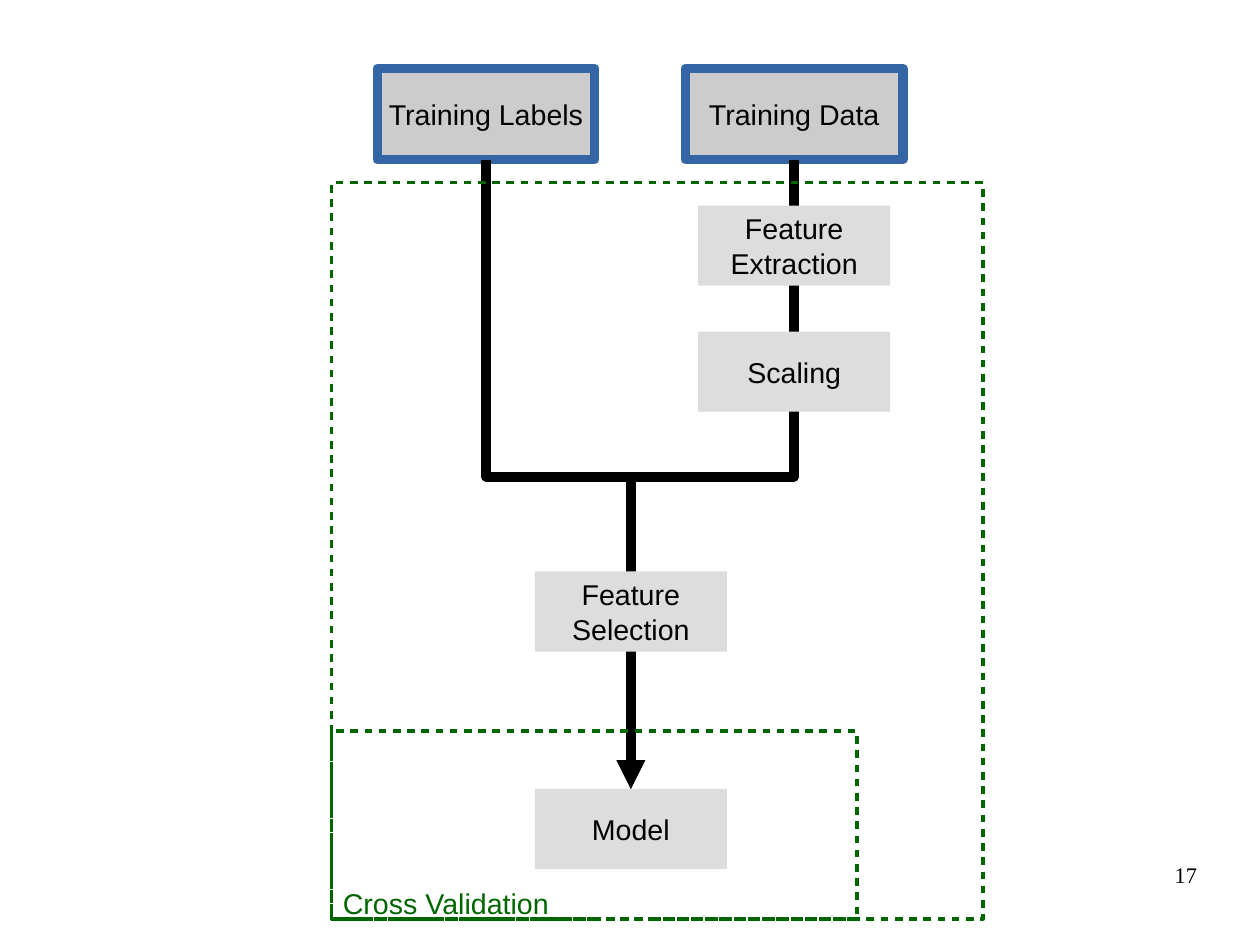
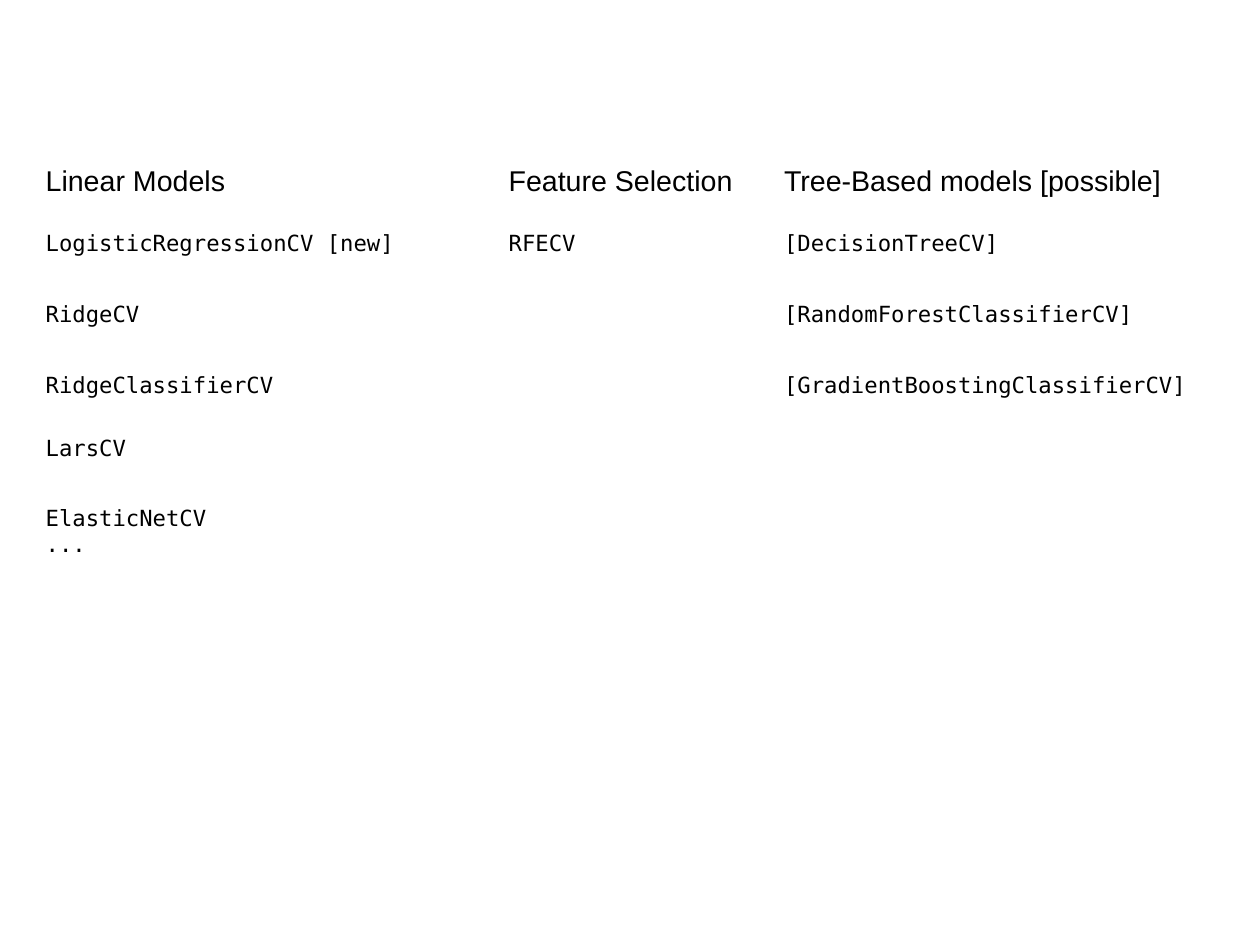
"""Build two slides: a cross-validated training pipeline and a table of CV estimators."""
from lxml.etree import SubElement
from pptx import Presentation
from pptx.dml.color import RGBColor
from pptx.enum.shapes import MSO_CONNECTOR, MSO_SHAPE
from pptx.enum.text import MSO_ANCHOR, PP_ALIGN
from pptx.oxml.ns import qn
from pptx.util import Cm, Pt

BLACK = RGBColor(0x00, 0x00, 0x00)
WHITE = RGBColor(0xFF, 0xFF, 0xFF)
GREEN = RGBColor(0x00, 0x66, 0x00)
BLUE = RGBColor(0x34, 0x65, 0xA4)
SOURCE_GREY = RGBColor(0xCC, 0xCC, 0xCC)
STEP_GREY = RGBColor(0xDD, 0xDD, 0xDD)
SANS, MONO, SERIF = "Arial", "DejaVu Sans Mono", "Times New Roman"

LABELS_X, DATA_X, MODEL_X = 10.8, 17.65, 14.02
SOURCE_TOP, SOURCE_SIZE = 1.52, (4.83, 2.03)
STEP_SIZE = (4.27, 1.78)
MODEL_TOP = 17.53
MERGE_RATIO = 0.504

SOURCES = [(["Training Data"], DATA_X), (["Training Labels"], LABELS_X)]
MODEL = (["Model"], MODEL_X, MODEL_TOP)
STEPS = [
    (["Feature", "Extraction"], DATA_X, 4.57),
    (["Scaling"], DATA_X, 7.37),
    (["Feature", "Selection"], MODEL_X, 12.7),
]
FRAME_LEFT, FRAME_BOTTOM = 7.37, 20.42
INNER_FRAME, OUTER_FRAME = (11.68, 4.17), (14.48, 16.36)

HEADINGS = ["Linear Models", "Feature Selection", "Tree-Based models [possible]"]
ESTIMATORS = [
    ["LogisticRegressionCV [new]", "RidgeCV", "RidgeClassifierCV", "LarsCV", "ElasticNetCV\n..."],
    ["RFECV"],
    ["[DecisionTreeCV]", "[RandomForestClassifierCV]", "[GradientBoostingClassifierCV]"],
]
COLUMN_WIDTHS = [10.29, 6.12, 9.55]
ROW_HEIGHTS = [1.45, 1.57, 1.57, 1.4, 1.57, 1.45]


def write(frame, lines, size=18, font=SANS, color=BLACK, align=PP_ALIGN.LEFT):
    for index, line in enumerate(lines):
        paragraph = frame.paragraphs[0] if index == 0 else frame.add_paragraph()
        paragraph.alignment = align
        run = paragraph.add_run()
        run.text = line
        run.font.size, run.font.name = Pt(size), font
        run.font.color.rgb = color


def style_line(line, color, width, dashed=False, arrow=False):
    line.color.rgb = color
    line.width = Pt(width)
    ln = line._get_or_add_ln()
    if dashed:
        SubElement(SubElement(ln, qn("a:custDash")), qn("a:ds"), d="210000", sp="180000")
    SubElement(ln, qn("a:round"))
    if arrow:
        SubElement(ln, qn("a:tailEnd"), type="triangle")


def add_rectangle(slide, left, top, size, fill=None):
    rectangle = slide.shapes.add_shape(
        MSO_SHAPE.RECTANGLE, Cm(left), Cm(top), *(Cm(side) for side in size))
    rectangle.shadow.inherit = False
    if fill is None:
        rectangle.fill.background()
    else:
        rectangle.fill.solid()
        rectangle.fill.fore_color.rgb = fill
    return rectangle


def add_box(slide, lines, center, top, size, fill, border=None):
    box = add_rectangle(slide, center - size[0] / 2, top, size, fill)
    if border is None:
        box.line.fill.background()
    else:
        style_line(box.line, border, 6)
    box.text_frame.word_wrap = False
    box.text_frame.vertical_anchor = MSO_ANCHOR.MIDDLE
    write(box.text_frame, lines, align=PP_ALIGN.CENTER)


def add_frame(slide, size):
    frame = add_rectangle(slide, FRAME_LEFT, FRAME_BOTTOM - size[1], size)
    style_line(frame.line, GREEN, 2.3, dashed=True)


def add_merge_arrow(slide, start_x, start_y, end_x, end_y):
    """Draw an elbow that runs down, across and down, as a turned sideways elbow."""
    center_x, center_y = (start_x + end_x) / 2, (start_y + end_y) / 2
    half_run, half_rise = (end_y - start_y) / 2, abs(end_x - start_x) / 2
    leftward = end_x < start_x
    reach = half_run if leftward else -half_run
    arrow = slide.shapes.add_connector(
        MSO_CONNECTOR.ELBOW, Cm(center_x - reach), Cm(center_y - half_rise),
        Cm(center_x + reach), Cm(center_y + half_rise))
    properties = arrow._element.spPr
    properties.find(qn("a:xfrm")).set("rot", str((90 if leftward else 270) * 60000))
    adjustments = properties.find(qn("a:prstGeom")).find(qn("a:avLst"))
    SubElement(adjustments, qn("a:gd"), name="adj1", fmla=f"val {round(MERGE_RATIO * 100000)}")
    style_line(arrow.line, BLACK, 6, arrow=True)
    SubElement(properties, qn("a:effectLst"))


def add_label(slide, text, left, top, width, height, margins=True, **style):
    label = slide.shapes.add_textbox(Cm(left), Cm(top), Cm(width), Cm(height)).text_frame
    label.word_wrap = True
    if not margins:
        label.margin_left = label.margin_right = label.margin_top = label.margin_bottom = 0
    write(label, [text], **style)


def build_pipeline(slide):
    for lines, center in SOURCES:
        add_box(slide, lines, center, SOURCE_TOP, SOURCE_SIZE, SOURCE_GREY, BLUE)
    add_box(slide, *MODEL, STEP_SIZE, STEP_GREY)
    for _, center in SOURCES:
        add_merge_arrow(slide, center, SOURCE_TOP + SOURCE_SIZE[1], MODEL_X, MODEL_TOP)
    for step in STEPS:
        add_box(slide, *step, STEP_SIZE, STEP_GREY)
    add_frame(slide, INNER_FRAME)
    add_label(slide, "Cross Validation", FRAME_LEFT, 19.56, 5.59, 0.97, color=GREEN)
    add_frame(slide, OUTER_FRAME)
    add_label(slide, "17", 20.07, 19.13, 6.53, 1.45, margins=False,
              size=14, font=SERIF, align=PP_ALIGN.RIGHT)


def build_estimators(slide):
    table = slide.shapes.add_table(
        len(ROW_HEIGHTS), len(COLUMN_WIDTHS), Cm(0.76), Cm(3.56),
        Cm(sum(COLUMN_WIDTHS)), Cm(sum(ROW_HEIGHTS))).table
    table.first_row = table.horz_banding = False
    for row, height in zip(table.rows, ROW_HEIGHTS):
        row.height = Cm(height)
    for column, width in zip(table.columns, COLUMN_WIDTHS):
        column.width = Cm(width)
    for cell in table.iter_cells():
        cell.fill.solid()
        cell.fill.fore_color.rgb = WHITE
    for column, (heading, names) in enumerate(zip(HEADINGS, ESTIMATORS)):
        write(table.cell(0, column).text_frame, [heading])
        for row, name in enumerate(names, 1):
            write(table.cell(row, column).text_frame, name.split("\n"), size=14, font=MONO)


def main():
    deck = Presentation()
    deck.slide_width, deck.slide_height = Cm(28), Cm(21)
    blank = deck.slide_layouts[6]
    for build in (build_pipeline, build_estimators):
        build(deck.slides.add_slide(blank))
    deck.save("out.pptx")


if __name__ == "__main__":
    main()
